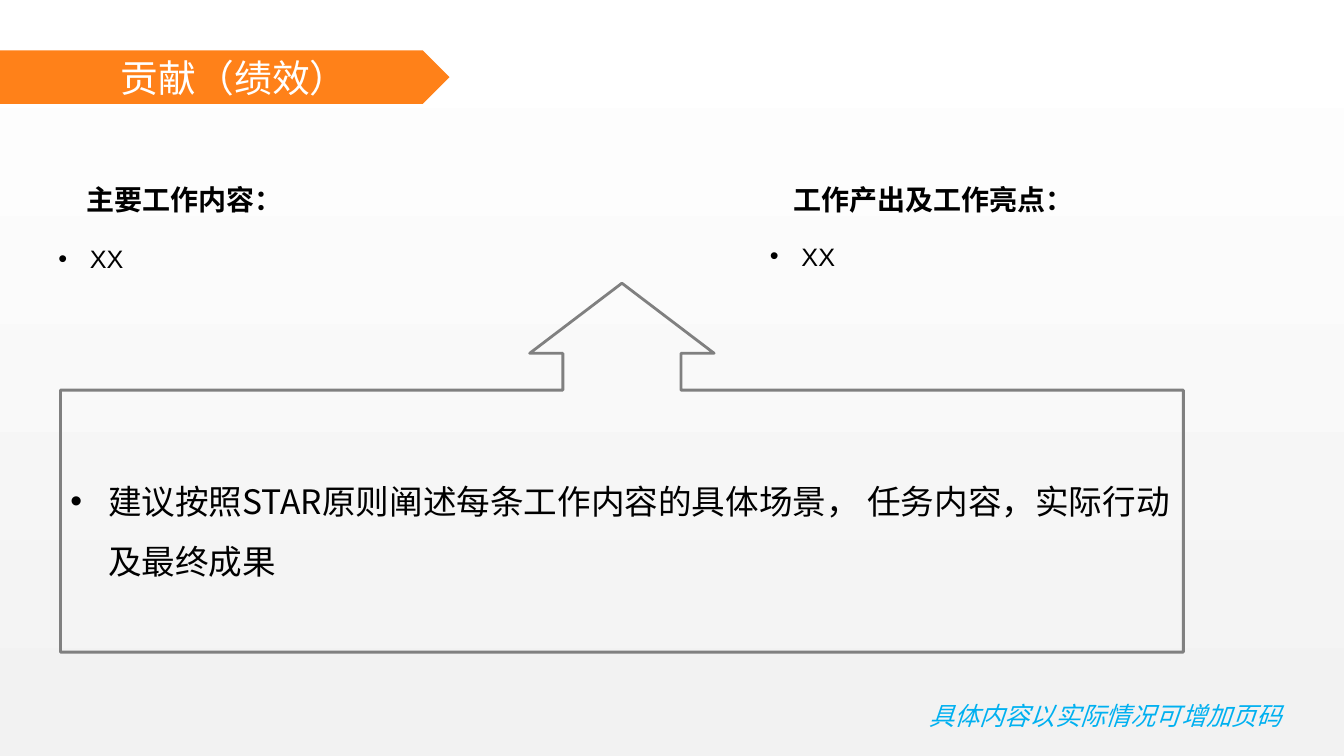
import dataclasses
import typing

import pptx
import pptx.dml.color
import pptx.enum.shapes
import pptx.enum.text
import pptx.oxml.ns
import pptx.util
import lxml.etree

Pt = pptx.util.Pt
Rgb = pptx.dml.color.RGBColor.from_string
Kind = pptx.enum.shapes.MSO_SHAPE
Anchor = pptx.enum.text.MSO_ANCHOR
Fit = pptx.enum.text.MSO_AUTO_SIZE
Align = pptx.enum.text.PP_ALIGN
qn = pptx.oxml.ns.qn


@dataclasses.dataclass(frozen=True)
class Theme:
    orange: str = "FF8119"
    white: str = "FFFFFF"
    black: str = "000000"
    gray: str = "808080"
    blue: str = "00B0F0"
    pale: str = "F2F2F2"
    sans: str = "Noto Sans CJK SC"
    body: str = "Noto Sans CJK JP"
    plain: str = "Arial"
    title: float = 27
    large: float = 24
    head: float = 20
    small: float = 18


THEME = Theme()


class Box(typing.NamedTuple):
    left: float
    top: float
    width: float
    height: float


@dataclasses.dataclass(frozen=True)
class Style:
    size: float
    font: str
    color: str = THEME.black
    bold: bool = False
    slant: bool = False
    space: float = 1.0
    indent: float = 0


@dataclasses.dataclass(frozen=True)
class Label:
    text: str
    box: Box
    style: Style


HEAD = Style(THEME.head, THEME.sans, bold=True, space=1.5)
ITEM = Style(THEME.small, THEME.plain, indent=22.5)
NOTE = Style(THEME.small, THEME.plain, THEME.blue, slant=True)
TITLE = Style(THEME.title, THEME.sans, THEME.white)
ADVICE = Style(THEME.large, THEME.body, space=1.5, indent=27)

LABELS = (
    Label("主要工作内容：", Box(54.7, 114.5, 468, 40.3), HEAD),
    Label("工作产出及工作亮点：", Box(559.4, 114.5, 275, 40.3), HEAD),
    Label("具体内容以实际情况可增加页码", Box(656.6, 496.8, 303.1, 28.8), NOTE),
    Label("XX", Box(34.6, 170.6, 416.9, 51.1), ITEM),
    Label("XX", Box(542.9, 168.5, 416.9, 51.1), ITEM),
)


def place(box: Box) -> list[pptx.util.Length]:
    return [Pt(side) for side in box]


def write(frame, text: str, style: Style) -> None:
    frame.text = text
    frame.word_wrap = True
    line = frame.paragraphs[0]
    line.alignment = Align.LEFT
    line.line_spacing = style.space
    if style.indent:
        props = line._p.get_or_add_pPr()
        props.set("marL", str(Pt(style.indent)))
        props.set("indent", str(-Pt(style.indent)))
        lxml.etree.SubElement(props, qn("a:buFont")).set("typeface", THEME.plain)
        lxml.etree.SubElement(props, qn("a:buChar")).set("char", "•")
    for run in line.runs:
        font = run.font
        font.size = Pt(style.size)
        font.name = style.font
        font.bold = style.bold
        font.italic = style.slant
        font.color.rgb = Rgb(style.color)
        east = lxml.etree.Element(qn("a:ea"))
        east.set("typeface", style.font)
        run._r.rPr.find(qn("a:latin")).addnext(east)


def paint(slide) -> None:
    fill = slide.background.fill
    fill.gradient()
    fill.gradient_angle = 90
    for stop, color in zip(fill.gradient_stops, (THEME.pale, THEME.white)):
        stop.color.rgb = Rgb(color)


def add_title(slide) -> None:
    banner = slide.shapes.add_shape(Kind.PENTAGON, *place(Box(0, 36, 321.1, 38.2)))
    banner.shadow.inherit = False
    banner.fill.solid()
    banner.fill.fore_color.rgb = Rgb(THEME.orange)
    banner.line.fill.background()

    title = slide.shapes.title
    title.element.addprevious(banner.element)
    title.left, title.top, title.width, title.height = place(Box(77, 33.8, 306, 45.4))
    frame = title.text_frame
    write(frame, "贡献（绩效）", TITLE)
    frame.auto_size = Fit.NONE
    frame.vertical_anchor = Anchor.TOP
    frame.margin_left = frame.margin_right = Pt(9.4)
    frame.margin_top = frame.margin_bottom = Pt(5)


def add_label(slide, label: Label) -> None:
    frame = slide.shapes.add_textbox(*place(label.box)).text_frame
    write(frame, label.text, label.style)
    frame.auto_size = Fit.SHAPE_TO_FIT_TEXT


def add_advice(slide) -> None:
    callout = slide.shapes.add_shape(
        Kind.UP_ARROW_CALLOUT, *place(Box(43.2, 202.3, 802.1, 263.5))
    )
    callout.shadow.inherit = False
    callout.fill.background()
    callout.line.color.rgb = Rgb(THEME.gray)
    callout.line.width = Pt(2)
    for index, ratio in enumerate((0.32, 0.25, 0.19, 0.71)):
        callout.adjustments[index] = ratio
    write(
        callout.text_frame,
        "建议按照STAR原则阐述每条工作内容的具体场景， 任务内容，实际行动及最终成果",
        ADVICE,
    )
    callout.text_frame.vertical_anchor = Anchor.MIDDLE


def main() -> None:
    deck = pptx.Presentation()
    deck.slide_width, deck.slide_height = Pt(960), Pt(540)
    slide = deck.slides.add_slide(deck.slide_layouts.get_by_name("Title Only"))
    paint(slide)
    add_title(slide)
    for label in LABELS:
        add_label(slide, label)
    add_advice(slide)
    deck.save("out.pptx")


if __name__ == "__main__":
    main()
